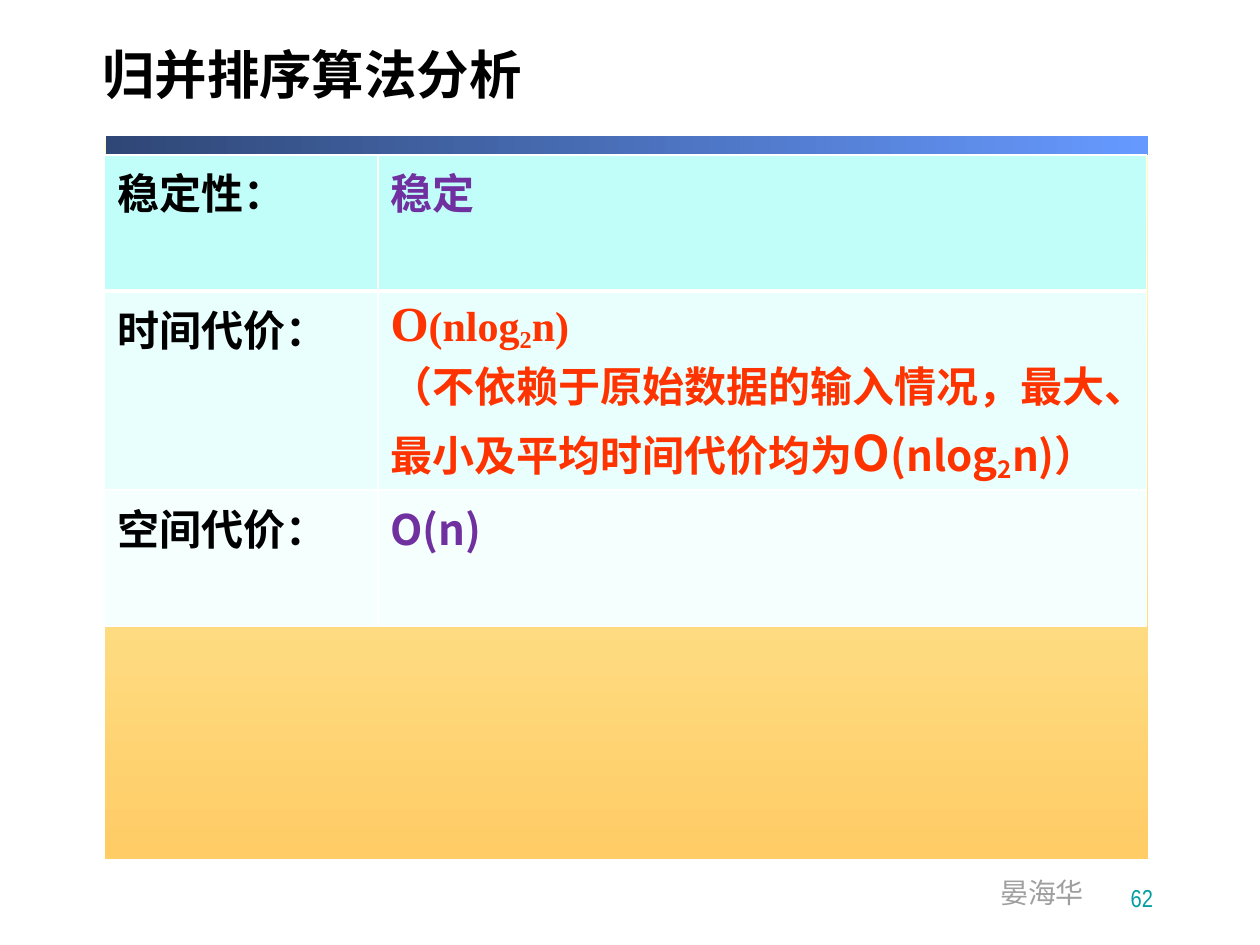
from lxml.etree import SubElement
from pptx import Presentation
from pptx.dml.color import RGBColor
from pptx.enum.shapes import MSO_SHAPE
from pptx.enum.text import MSO_ANCHOR, PP_ALIGN
from pptx.oxml.ns import qn
from pptx.util import Inches, Pt

COLORS = {
    "black": "000000", "white": "FFFFFF", "purple": "7030A0", "red": "FF3300",
    "author": "9F9F9F", "number": "009EA1",
    "panel_top": "FCFEBC", "panel_bottom": "FFCC66",
    "bar_left": "2F4776", "bar_right": "6699FF",
    "row1": "C1FEF9", "row2": "E9FFFD", "row3": "F4FFFE",
}
NARROW, CJK, SERIF = "Arial Narrow", "Noto Sans CJK SC", "Times New Roman"

TITLE = "归并排序算法分析"
AUTHOR = "晏海华"
PAGE = "62"
# Cost formula as (text, size, baseline in percent)
COST = [("O", 28, 0), ("(nlog", 24, 0), ("2", 24, -18)]
# (label, answer colour, answer paragraphs as (font, runs), row height)
ROWS = [
    ("稳定性：", "purple", [(CJK, [("稳定", 24, 0)])], 1.08),
    ("时间代价：", "red", [
        (SERIF, COST + [("n)", 24, 0)]),
        (CJK, [("（不依赖于原始数据的输入情况，最大、最小及平均时间代价均为", 24, 0)]
         + COST + [("n)）", 24, 0)]),
    ], 1.58),
    ("空间代价：", "purple", [(CJK, [("O(n)", 24, 0)])], 1.08),
]
COLUMNS = [2.17, 6.1]
LEFT, TABLE_TOP = 0.83, 1.23


def rgb(name):
    return RGBColor.from_string(COLORS[name])


def add_run(paragraph, text, size, font, color, bold=False, baseline=0):
    run = paragraph.add_run()
    run.text = text
    run.font.size = Pt(size)
    run.font.bold = bold
    run.font.color.rgb = rgb(color)
    run.font.name = font
    properties = run._r.get_or_add_rPr()
    SubElement(properties, qn("a:ea")).set("typeface", CJK)
    if baseline:
        properties.set("baseline", str(baseline * 1000))


def add_gradient_box(slide, box, start, end, angle):
    shape = slide.shapes.add_shape(MSO_SHAPE.RECTANGLE, *map(Inches, box))
    shape.shadow.inherit = False
    shape.line.fill.background()
    shape.fill.gradient()
    shape.fill.gradient_angle = angle
    for stop, color, position in zip(shape.fill.gradient_stops, (start, end), (0, 1)):
        stop.color.rgb = rgb(color)
        stop.position = position


def add_label(slide, box, text, size, color, wrap):
    label = slide.shapes.add_textbox(*map(Inches, box))
    label.text_frame.word_wrap = wrap
    add_run(label.text_frame.paragraphs[0], text, size, NARROW, color)
    return label.text_frame


def set_borders(cell, top, bottom):
    """White cell borders; top and bottom widths in points."""
    properties = cell._tc.get_or_add_tcPr()
    for side, width in (("L", 1), ("R", 1), ("T", top), ("B", bottom)):
        line = SubElement(properties, qn(f"a:ln{side}"), w=str(Pt(width)))
        fill = SubElement(line, qn("a:solidFill"))
        SubElement(fill, qn("a:srgbClr"), val=COLORS["white"])


def add_analysis_table(slide):
    heights = [row[-1] for row in ROWS]
    table = slide.shapes.add_table(
        len(ROWS), len(COLUMNS), Inches(LEFT), Inches(TABLE_TOP),
        Inches(sum(COLUMNS)), Inches(sum(heights))).table
    table.first_row = table.horz_banding = False
    for column, width in zip(table.columns, COLUMNS):
        column.width = Inches(width)
    for index, (label, color, answer, height) in enumerate(ROWS):
        table.rows[index].height = Inches(height)
        label_cell, answer_cell = table.rows[index].cells
        for cell in (label_cell, answer_cell):
            set_borders(cell, 3 if index == 1 else 1, 3 if index == 0 else 1)
            cell.fill.solid()
            cell.fill.fore_color.rgb = rgb(f"row{index + 1}")
        add_run(label_cell.text_frame.paragraphs[0], label, 24, NARROW, "black", True)
        frame = answer_cell.text_frame
        for number, (font, runs) in enumerate(answer):
            paragraph = frame.add_paragraph() if number else frame.paragraphs[0]
            for text, size, baseline in runs:
                add_run(paragraph, text, size, font, color, True, baseline)


def main():
    prs = Presentation()
    prs.slide_width, prs.slide_height = Inches(10), Inches(7.5)
    slide = prs.slides.add_slide(prs.slide_layouts[5])

    add_gradient_box(slide, (LEFT, 1.1, 8.28, 5.72), "panel_top", "panel_bottom", 270)
    add_gradient_box(slide, (0.84, 1.08, 8.27, 0.15), "bar_left", "bar_right", 0)
    add_label(slide, (7.84, 6.9, 0.87, 0.37), AUTHOR, 16, "author", False)

    title = slide.shapes.title
    title.left, title.top, title.width, title.height = map(Inches, (0.71, 0.17, 8.96, 0.92))
    title.text_frame.vertical_anchor = MSO_ANCHOR.MIDDLE
    heading = title.text_frame.paragraphs[0]
    heading.alignment = PP_ALIGN.LEFT
    heading.line_spacing = 0.8
    add_run(heading, TITLE, 30, NARROW, "black", True)

    number = add_label(slide, (7.36, 6.81, 1.89, 0.48), PAGE, 14, "number", True)
    number.vertical_anchor = MSO_ANCHOR.BOTTOM
    number.paragraphs[0].alignment = PP_ALIGN.RIGHT

    add_analysis_table(slide)
    prs.save("out.pptx")


if __name__ == "__main__":
    main()
